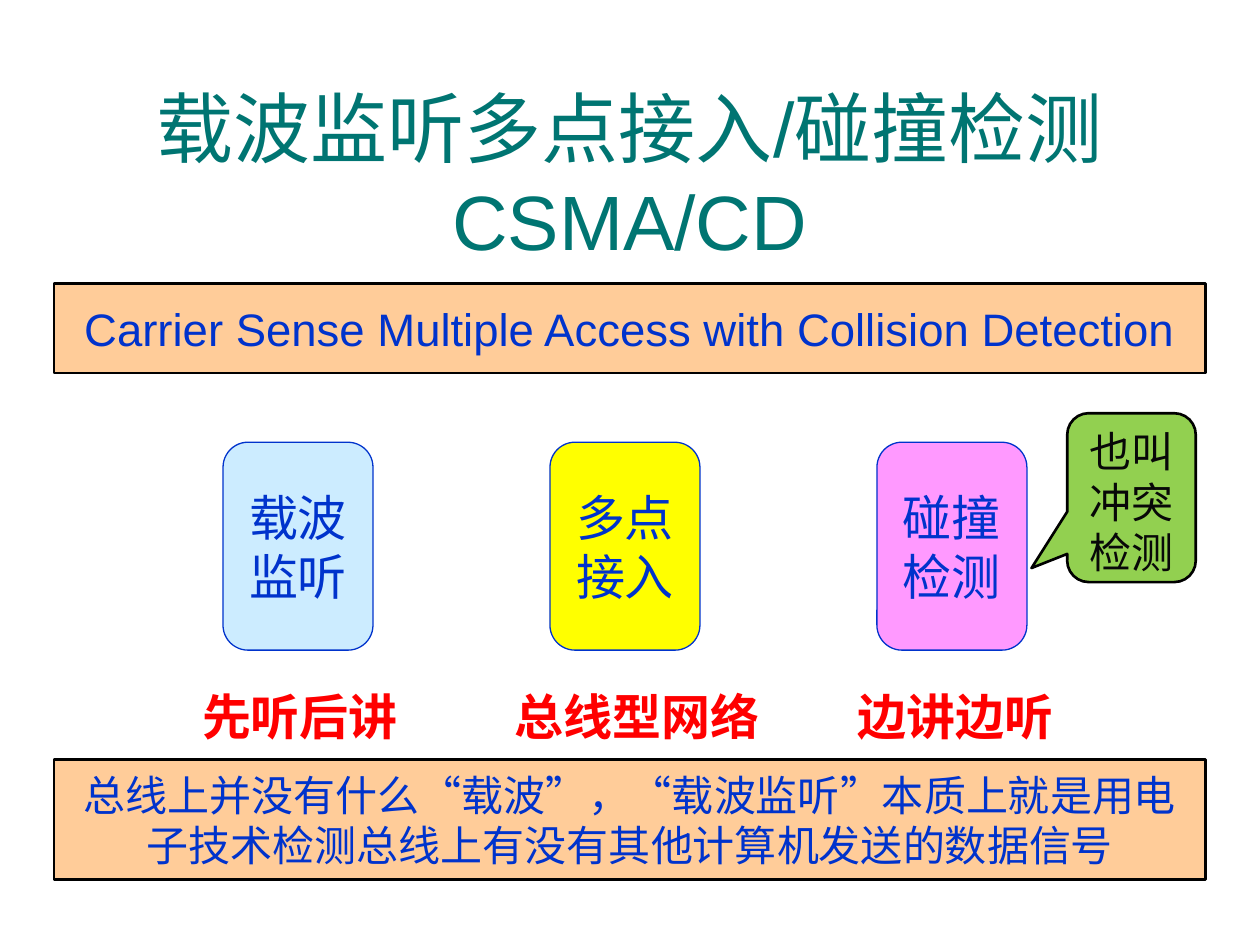
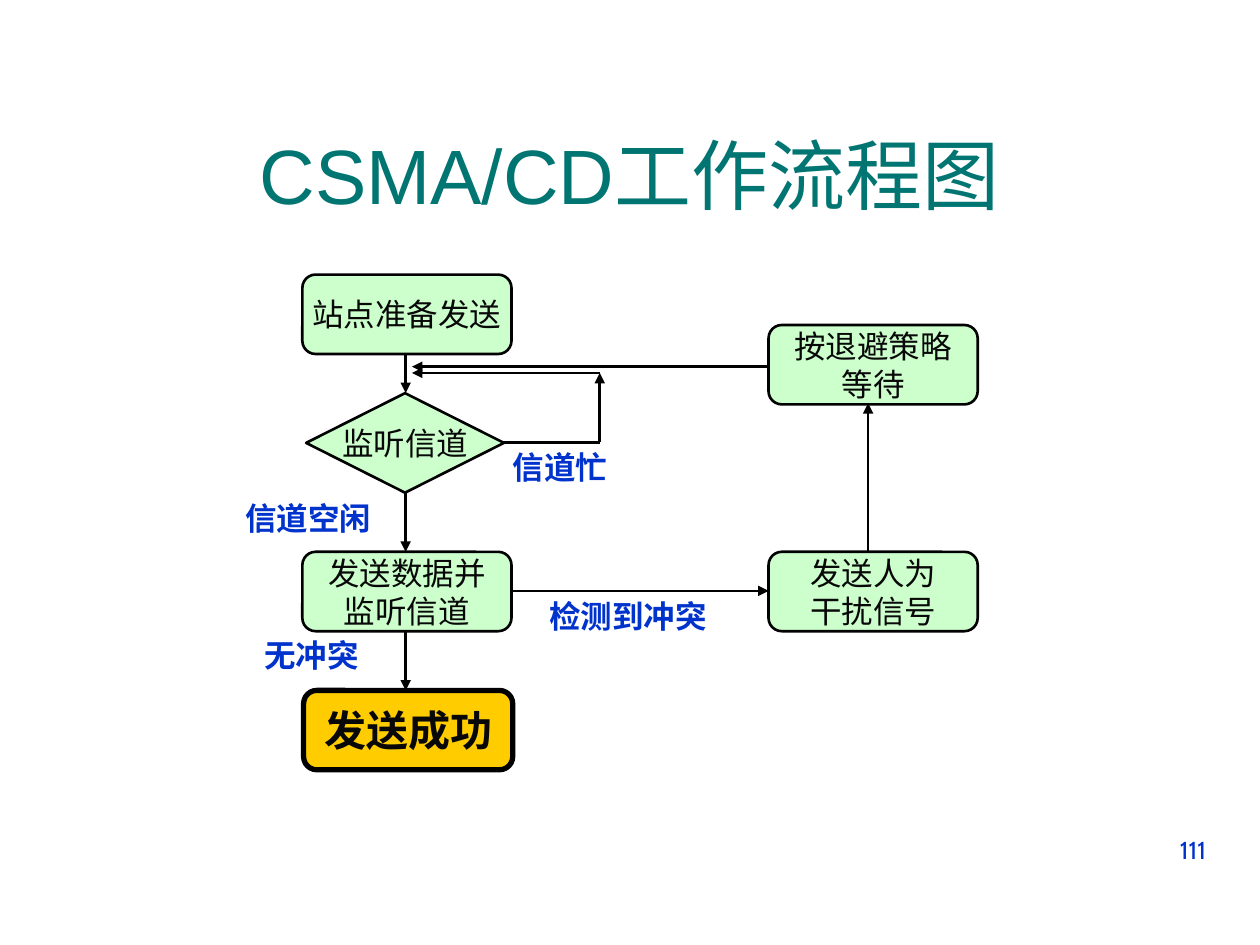
from lxml.etree import SubElement
from pptx import Presentation
from pptx.dml.color import RGBColor
from pptx.enum.shapes import MSO_CONNECTOR, MSO_SHAPE
from pptx.enum.text import MSO_ANCHOR, PP_ALIGN
from pptx.oxml.ns import qn
from pptx.util import Inches, Pt

TEAL = RGBColor(0x00, 0x75, 0x72)
BLUE = RGBColor(0x00, 0x33, 0xCC)
RED = RGBColor(0xFF, 0x00, 0x00)
BLACK = RGBColor(0x00, 0x00, 0x00)
INK = RGBColor(0x08, 0x08, 0x08)
PEACH = RGBColor(0xFF, 0xCC, 0x99)
SKY = RGBColor(0xCC, 0xEC, 0xFF)
YELLOW = RGBColor(0xFF, 0xFF, 0x00)
PINK = RGBColor(0xFF, 0x99, 0xFF)
LEAF = RGBColor(0x92, 0xD0, 0x50)
MINT = RGBColor(0xCC, 0xFF, 0xCC)
GOLD = RGBColor(0xFF, 0xCC, 0x00)

SANS = "Arial"
SERIF = "Times New Roman"
CHINESE = "Noto Sans CJK SC"
NUMERAL = "Cabin"

STEP_SIZE = (1.66, 0.63)
MAIN_X, RETRY_X = 2.4, 6.1
FLOW_X = 3.22


def write(frame, text, size, color, font=SANS, bold=False,
          align=PP_ALIGN.CENTER, anchor=MSO_ANCHOR.MIDDLE, wrap=True):
    """Fill a text frame; each newline starts a paragraph, \\v breaks a line."""
    frame.word_wrap = wrap
    frame.vertical_anchor = anchor
    frame.text = text
    for paragraph in frame.paragraphs:
        paragraph.alignment = align
        paragraph.font.size = Pt(size)
        paragraph.font.name = font
        paragraph.font.bold = bold
        paragraph.font.color.rgb = color
        defaults = paragraph._p.pPr.find(qn("a:defRPr"))
        SubElement(defaults, qn("a:ea")).set("typeface", CHINESE)


def add_text(slide, box, text, size, color, **style):
    frame = slide.shapes.add_textbox(*map(Inches, box)).text_frame
    write(frame, text, size, color, **style)


def add_title(slide, text):
    add_text(slide, (0.33, 0.75, 9.34, 1.25), text, 44, TEAL)


def add_page_number(slide, number):
    add_text(slide, (7.17, 6.58, 2.5, 0.52), number, 14, BLUE, font=NUMERAL,
             align=PP_ALIGN.RIGHT, anchor=MSO_ANCHOR.TOP)


def add_box(slide, preset, box, fill, text, size, color,
            line=BLACK, weight=1.5, **style):
    shape = slide.shapes.add_shape(preset, *map(Inches, box))
    shape.shadow.inherit = False
    shape.fill.solid()
    shape.fill.fore_color.rgb = fill
    shape.line.color.rgb = line
    shape.line.width = Pt(weight)
    write(shape.text_frame, text, size, color, **style)
    return shape


def add_band(slide, top, height, text, size, font=SANS):
    add_box(slide, MSO_SHAPE.RECTANGLE, (0.43, top, 9.14, height), PEACH,
            text, size, BLUE, font=font)


def add_card(slide, left, fill, text):
    add_box(slide, MSO_SHAPE.ROUNDED_RECTANGLE, (left, 3.51, 1.19, 1.65), fill,
            text, 28, BLUE, line=BLUE, weight=0.75)


def add_step(slide, left, top, text, fill=MINT, size=18, **style):
    add_box(slide, MSO_SHAPE.ROUNDED_RECTANGLE, (left, top, *STEP_SIZE), fill,
            text, size, INK, font=SERIF, wrap=False, **style)


def add_flow(slide, start, end, arrow=True):
    flow = slide.shapes.add_connector(
        MSO_CONNECTOR.STRAIGHT, *map(Inches, (*start, *end)))
    flow.line.color.rgb = BLACK
    flow.line.width = Pt(1.5)
    if arrow:
        SubElement(flow.line._get_or_add_ln(), qn("a:tailEnd")).set("type", "triangle")
    SubElement(flow._element.spPr, qn("a:effectLst"))


def build_principle(slide):
    add_title(slide, "载波监听多点接入/碰撞检测\vCSMA/CD")
    add_band(slide, 2.25, 0.71,
             "Carrier Sense Multiple Access with Collision Detection", 26)
    ideas = [
        ("载波监听", SKY, "先听后讲", 1.49, 1.78),
        ("多点接入", YELLOW, "总线型网络", 3.97, 2.17),
        ("碰撞检测", PINK, "边讲边听", 6.69, 1.78),
    ]
    for i, (term, fill, meaning, left, width) in enumerate(ideas):
        add_card(slide, 1.77 + 2.595 * i, fill, term)
        add_text(slide, (left, 5.4, width, 0.57), meaning, 28, RED, bold=True,
                 anchor=MSO_ANCHOR.TOP, wrap=False)
    add_band(slide, 6.03, 0.95,
             "总线上并没有什么“载波”，“载波监听”本质上就是用电子技术检测总线上有没有其他计算机发送的数据信号",
             24, CHINESE)
    alias = add_box(slide, MSO_SHAPE.ROUNDED_RECTANGULAR_CALLOUT,
                    (8.47, 3.28, 1.02, 1.34), LEAF, "也叫冲突检测", 24, INK,
                    anchor=MSO_ANCHOR.TOP)
    alias.adjustments[0] = -0.778
    alias.adjustments[1] = 0.417


def build_flowchart(slide):
    add_title(slide, "CSMA/CD工作流程图")
    add_page_number(slide, "111")

    add_step(slide, MAIN_X, 2.18, "站点准备发送")
    add_box(slide, MSO_SHAPE.DIAMOND, (2.43, 3.12, 1.57, 0.79), MINT,
            "监听信道", 18, INK, wrap=False)
    add_step(slide, MAIN_X, 4.38, "发送数据并\n监听信道")
    add_step(slide, RETRY_X, 4.38, "发送人为\n干扰信号")
    add_step(slide, RETRY_X, 2.58, "按退避策略\n等待")

    for top, bottom in [(2.81, 3.12), (3.91, 4.38), (5.01, 5.48)]:
        add_flow(slide, (FLOW_X, top), (FLOW_X, bottom))
    add_flow(slide, (3.98, 3.51), (4.76, 3.51), arrow=False)
    add_flow(slide, (4.76, 3.51), (4.76, 2.96))
    add_flow(slide, (4.76, 2.96), (3.27, 2.96))
    add_flow(slide, (4.05, 4.69), (RETRY_X, 4.69))
    add_flow(slide, (6.89, 4.38), (6.89, 3.2))
    add_flow(slide, (RETRY_X, 2.91), (3.27, 2.91))
    add_step(slide, 2.41, 5.48, "发送成功", GOLD, 24, weight=3, bold=True)

    conditions = [
        ("信道空闲", 1.85, 3.91, 1.2),
        ("信道忙", 3.97, 3.51, 0.96),
        ("检测到冲突", 4.26, 4.69, 1.46),
        ("无冲突", 2, 5, 0.96),
    ]
    for text, left, top, width in conditions:
        add_text(slide, (left, top, width, 0.4), text, 18, BLUE, bold=True,
                 align=PP_ALIGN.LEFT, anchor=MSO_ANCHOR.TOP, wrap=False)


def main():
    deck = Presentation()
    deck.slide_width, deck.slide_height = Inches(10), Inches(7.5)
    blank = deck.slide_layouts[6]
    for build in (build_principle, build_flowchart):
        build(deck.slides.add_slide(blank))
    deck.save("out.pptx")


if __name__ == "__main__":
    main()
